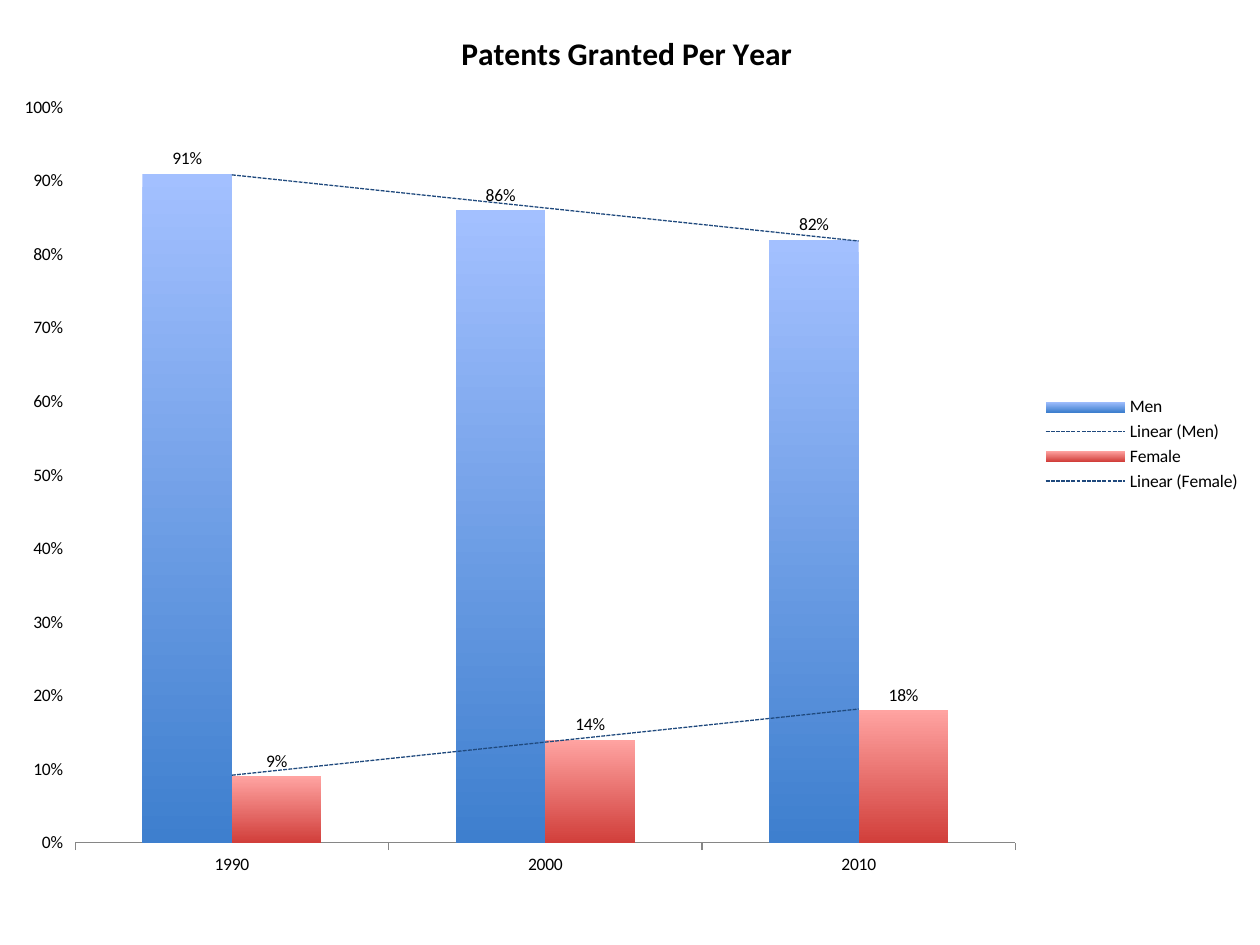
from lxml import etree
from pptx import Presentation
from pptx.chart.data import CategoryChartData
from pptx.dml.color import RGBColor
from pptx.enum.chart import XL_CHART_TYPE, XL_LABEL_POSITION, XL_LEGEND_POSITION, XL_TICK_MARK
from pptx.oxml import parse_xml
from pptx.util import Inches, Pt

COLUMNS = XL_CHART_TYPE.COLUMN_CLUSTERED
LABEL_ABOVE = XL_LABEL_POSITION.OUTSIDE_END
LEGEND_RIGHT = XL_LEGEND_POSITION.RIGHT
TICK_OUT, TICK_NONE = XL_TICK_MARK.OUTSIDE, XL_TICK_MARK.NONE

FONT = "Calibri"
COLORS = {
    "text": "000000", "axis": "868686", "trend": "1F497D",
    "Men": ("A3C0FF", "3E7FCE"), "Female": ("FFA3A1", "D13F3B"),
}
TITLE = "Patents Granted Per Year"
YEARS = ["1990", "2000", "2010"]
SHARES = {"Men": (0.91, 0.86, 0.82), "Female": (0.09, 0.14, 0.18)}
CHART_BOX = (0, 0.01, 9.95, 7.03)
PLOT_AREA = {"x": 0.06, "y": 0.12, "w": 0.75, "h": 0.83}

NAMESPACES = (
    'xmlns:c="http://schemas.openxmlformats.org/drawingml/2006/chart" '
    'xmlns:a="http://schemas.openxmlformats.org/drawingml/2006/main"'
)


def format_font(font, size=10, bold=False):
    """Apply the chart's typeface and text colour."""
    font.name, font.size, font.bold = FONT, Pt(size), bold
    font.color.rgb = RGBColor.from_string(COLORS["text"])


def add_text(frame, text, **format_options):
    """Write one formatted run into a text frame."""
    run = frame.paragraphs[0].add_run()
    run.text = text
    format_font(run.font, **format_options)


def add_trendline(series):
    """Add a dashed linear trend line to a series."""
    trendline = parse_xml(
        f'<c:trendline {NAMESPACES}><c:spPr><a:ln w="{Pt(0.75)}"><a:solidFill>'
        f'<a:srgbClr val="{COLORS["trend"]}"/></a:solidFill><a:prstDash val="sysDash"/>'
        '</a:ln></c:spPr><c:trendlineType val="linear"/><c:dispRSqr val="0"/>'
        '<c:dispEq val="0"/></c:trendline>'
    )
    series._element.cat.addprevious(trendline)


def style_series(series):
    """Give a series its gradient, value labels and trend line."""
    fill = series.format.fill
    fill.gradient()
    fill.gradient_angle = 270
    for stop, color in zip(fill.gradient_stops, COLORS[series.name]):
        stop.color.rgb = RGBColor.from_string(color)
    series.format.line.fill.background()
    series.invert_if_negative = False
    labels = series.data_labels
    labels.show_value = True
    labels.number_format, labels.number_format_is_linked = "0%", False
    labels.position = LABEL_ABOVE
    format_font(labels.font)
    add_trendline(series)


def style_axes(chart):
    """Set the scale, ticks and lines of both axes."""
    years, shares = chart.category_axis, chart.value_axis
    for axis in (years, shares):
        axis.has_major_gridlines = False
        axis.minor_tick_mark = TICK_NONE
        axis.major_tick_mark = TICK_OUT
        format_font(axis.tick_labels.font)
    years.format.line.color.rgb = RGBColor.from_string(COLORS["axis"])
    years.format.line.width = Pt(0.75)
    shares.format.line.fill.background()
    shares.minimum_scale, shares.maximum_scale, shares.major_unit = 0, 1, 0.1
    shares.tick_labels.number_format = "0%"
    shares.tick_labels.number_format_is_linked = False


def place_plot(chart):
    """Fix the inner plot area as fractions of the chart."""
    plot_area = chart._chartSpace.chart.plotArea
    for old_layout in plot_area.findall("{*}layout"):
        plot_area.remove(old_layout)
    layout = parse_xml(
        f'<c:layout {NAMESPACES}><c:manualLayout><c:layoutTarget val="inner"/>'
        '<c:xMode val="edge"/><c:yMode val="edge"/></c:manualLayout></c:layout>'
    )
    manual = layout[0]
    for key, fraction in PLOT_AREA.items():
        tag = etree.QName(manual).namespace
        etree.SubElement(manual, f"{{{tag}}}{key}").set("val", str(fraction))
    plot_area.insert(0, layout)


def add_patent_chart(slide):
    """Add the column chart of patent shares."""
    data = CategoryChartData(number_format="0%")
    data.categories = YEARS
    for name, values in SHARES.items():
        data.add_series(name, values)
    chart = slide.shapes.add_chart(COLUMNS, *map(Inches, CHART_BOX), data).chart
    format_font(chart.font)
    chart.has_title = True
    add_text(chart.chart_title.text_frame, TITLE, size=18, bold=True)
    chart.chart_title.include_in_layout = False
    chart.has_legend = True
    chart.legend.position = LEGEND_RIGHT
    chart.legend.include_in_layout = False
    format_font(chart.legend.font)
    plot = chart.plots[0]
    plot.gap_width, plot.overlap, plot.vary_by_categories = 150, 0, False
    for series in plot.series:
        style_series(series)
    style_axes(chart)
    place_plot(chart)


presentation = Presentation()
presentation.slide_width, presentation.slide_height = Inches(10), Inches(7.5)
add_patent_chart(presentation.slides.add_slide(presentation.slide_layouts[6]))
presentation.save("out.pptx")
